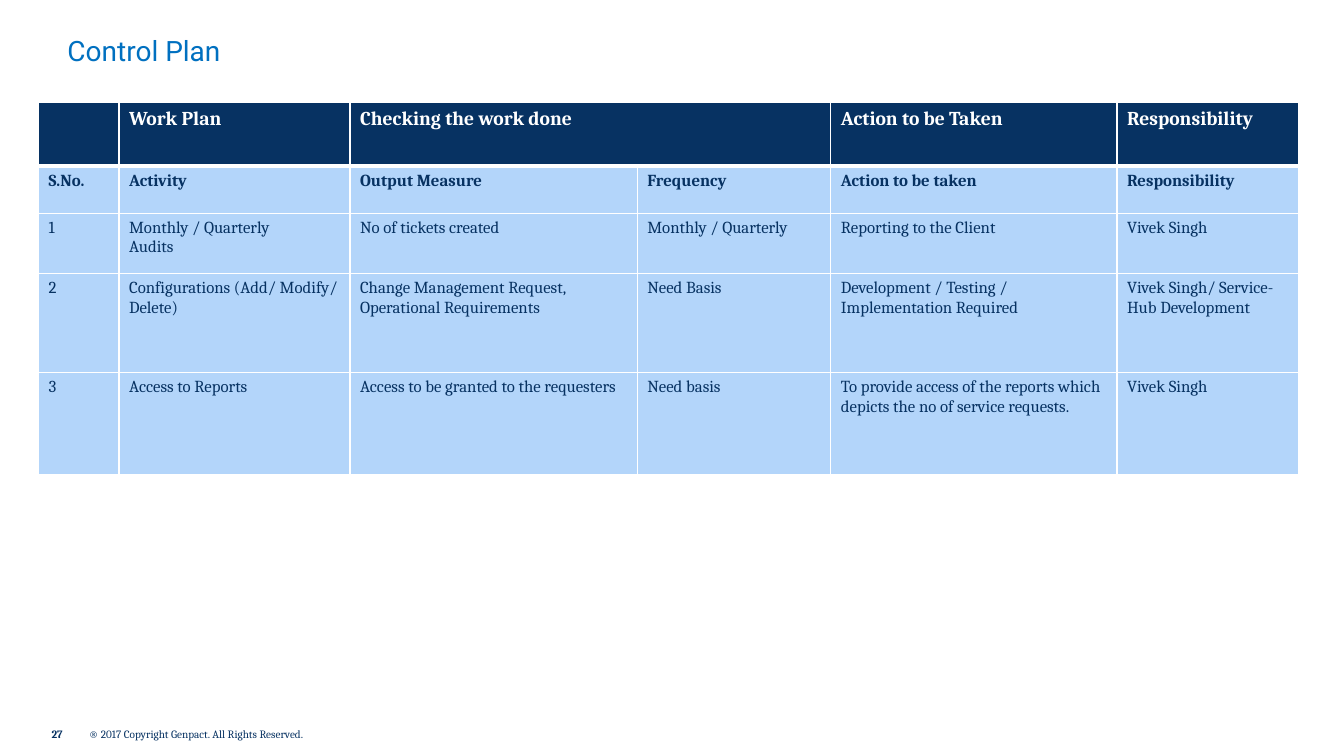
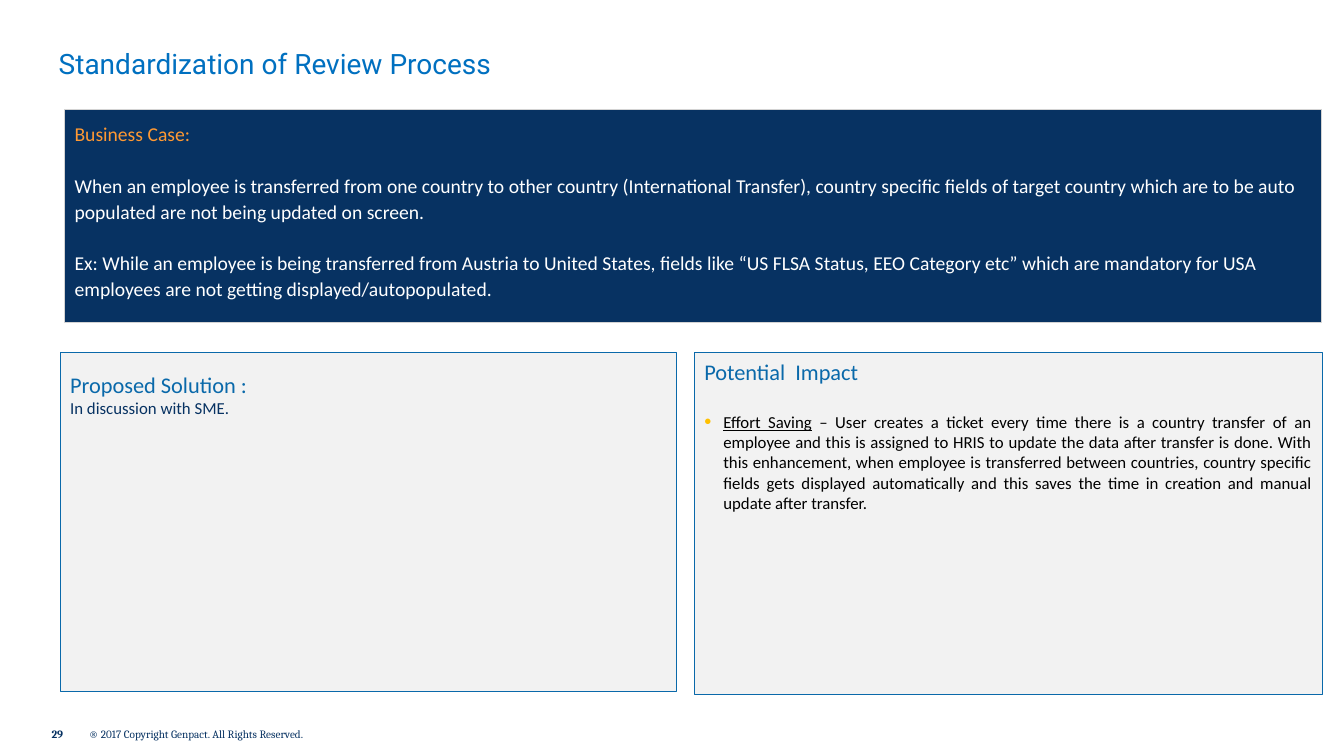
import pptx
import pptx.util
import pptx.dml.color
import pptx.enum.shapes
import pptx.enum.text
import pptx.oxml
import pptx.oxml.ns
from pptx.util import Cm, Pt

COLORS = {
    "navy": "073262",
    "title": "0070C0",
    "blue": "0A69AA",
    "sky": "B3D5FA",
    "panel": "F2F2F2",
    "silver": "D3D3D3",
    "orange": "FF9933",
    "bullet": "FFC000",
    "white": "FFFFFF",
    "black": "000000",
}
rgb = {name: pptx.dml.color.RGBColor.from_string(code) for name, code in COLORS.items()}
TOP = pptx.enum.text.MSO_ANCHOR.TOP
MIDDLE = pptx.enum.text.MSO_ANCHOR.MIDDLE
LEFT = pptx.enum.text.PP_ALIGN.LEFT
JUSTIFY = pptx.enum.text.PP_ALIGN.JUSTIFY


def add_run(paragraph, text, font, size, color, bold=False, underline=False):
    run = paragraph.add_run()
    run.text = text
    run.font.name = font
    run.font.size = Pt(size)
    run.font.color.rgb = rgb[color]
    run.font.bold = bold
    run.font.underline = underline


def add_panel(slide, left, top, width, height, fill, line):
    shape = slide.shapes.add_shape(
        pptx.enum.shapes.MSO_SHAPE.RECTANGLE, Cm(left), Cm(top), Cm(width), Cm(height))
    shape.shadow.inherit = False
    shape.fill.solid()
    shape.fill.fore_color.rgb = rgb[fill]
    shape.line.color.rgb = rgb[line]
    shape.line.width = Pt(0.75)
    shape.text_frame.word_wrap = True
    shape.text_frame.vertical_anchor = TOP
    shape.text_frame.paragraphs[0].alignment = LEFT
    return shape.text_frame


presentation = pptx.Presentation()
presentation.slide_width = Cm(33.87)
presentation.slide_height = Cm(19.05)

# Slides with title and footer: title, left, top, width, page number
pages = [
    ("Control Plan", 1.7, 0.84, 25.12, "27"),
    ("Standardization of Review Process", 1.48, 1.17, 30.68, "29"),
]
# Footer parts: left, width, bold
footer_parts = [(1.3, 0.9, True), (2.24, 6.55, False)]
slides = []
for title_text, left, top, width, number in pages:
    slide = presentation.slides.add_slide(presentation.slide_layouts[5])
    slides.append(slide)

    title = slide.shapes.title
    title.left, title.top, title.width, title.height = Cm(left), Cm(top), Cm(width), Cm(0.94)
    frame = title.text_frame
    frame.margin_left = frame.margin_top = 0
    frame.vertical_anchor = TOP
    frame.auto_size = pptx.enum.text.MSO_AUTO_SIZE.NONE
    frame.paragraphs[0].alignment = LEFT
    add_run(frame.paragraphs[0], title_text, "Roboto", 20, "title")

    footer_texts = [number, "® 2017 Copyright Genpact. All Rights Reserved."]
    for text, (left, width, bold) in zip(footer_texts, footer_parts):
        frame = slide.shapes.add_textbox(Cm(left), Cm(18.19), Cm(width), Cm(0.61)).text_frame
        frame.margin_left = frame.margin_right = frame.margin_top = frame.margin_bottom = 0
        frame.word_wrap = True
        frame.vertical_anchor = MIDDLE
        add_run(frame.paragraphs[0], text, "Cambria", 8, "navy", bold)

control_slide, review_slide = slides

# Control plan table
rows = [
    ["", "Work Plan", "Checking the work done", "", "Action to be Taken", "Responsibility"],
    ["S.No.", "Activity", "Output Measure", "Frequency", "Action to be taken",
     "Responsibility"],
    ["1", "Monthly / Quarterly\nAudits", "No of tickets created", "Monthly / Quarterly",
     "Reporting to the Client", "Vivek Singh"],
    ["2", "Configurations (Add/ Modify/ Delete)",
     "Change Management Request, Operational Requirements", "Need Basis",
     "Development / Testing / Implementation Required", "Vivek Singh/ Service-Hub Development"],
    ["3", "Access to Reports", "Access to be granted to the requesters", "Need basis",
     "To provide access of the reports which depicts the no of service requests.",
     "Vivek Singh"],
]
column_widths = [2.03, 5.82, 7.24, 4.88, 7.21, 4.57]
row_heights = [1.6, 1.19, 1.52, 2.49, 2.57]
table = control_slide.shapes.add_table(
    len(rows), len(column_widths), Cm(0.97), Cm(2.59),
    Cm(sum(column_widths)), Cm(sum(row_heights))).table
table.horz_banding = False
for column, width in zip(table.columns, column_widths):
    column.width = Cm(width)
for row, height in zip(table.rows, row_heights):
    row.height = Cm(height)
table.cell(0, 2).merge(table.cell(0, 3))

for row_index, texts in enumerate(rows):
    is_header = row_index == 0
    for column_index, text in enumerate(texts):
        cell = table.cell(row_index, column_index)
        cell.fill.solid()
        cell.fill.fore_color.rgb = rgb["navy" if is_header else "sky"]
        # White borders, heavier below the header
        heavy_side = {0: "lnB", 1: "lnT"}.get(row_index)
        properties = cell._tc.get_or_add_tcPr()
        for position, side in enumerate(["lnL", "lnR", "lnT", "lnB"]):
            border_width = Pt(3 if side == heavy_side else 1)
            properties.insert(position, pptx.oxml.parse_xml(
                f'<a:{side} {pptx.oxml.ns.nsdecls("a")} w="{border_width}"><a:solidFill>'
                f'<a:srgbClr val="{COLORS["white"]}"/></a:solidFill></a:{side}>'))
        if not text:
            continue
        for line_index, line in enumerate(text.split("\n")):
            frame = cell.text_frame
            paragraph = frame.add_paragraph() if line_index else frame.paragraphs[0]
            add_run(paragraph, line, "Cambria", 14 if is_header else 12,
                    "white" if is_header else "navy", bold=row_index < 2)

# Business case
business_texts = [
    ("Business Case:", "orange"),
    ("When an employee is transferred from one country to other country (International "
     "Transfer), country specific fields of target country which are to be auto populated "
     "are not being updated on screen.", "white"),
    ("Ex: While an employee is being transferred from Austria to United States, fields like "
     "“US FLSA Status, EEO Category etc” which are mandatory for USA employees are not "
     "getting displayed/autopopulated.", "white"),
]
frame = add_panel(review_slide, 1.63, 2.76, 31.67, 5.36, "navy", "silver")
frame.margin_top = Cm(0.25)
for index, (text, color) in enumerate(business_texts):
    paragraph = frame.add_paragraph() if index else frame.paragraphs[0]
    paragraph.alignment = LEFT
    paragraph.line_spacing = 1.1
    if index:
        paragraph.space_before = Pt(18.5)
    add_run(paragraph, text, "Calibri", 14, color)

# Proposed solution
frame = add_panel(review_slide, 1.52, 8.89, 15.52, 8.53, "panel", "blue")
frame.paragraphs[0].line_spacing = 1.5
add_run(frame.paragraphs[0], "Proposed Solution :", "Calibri", 16, "blue")
paragraph = frame.add_paragraph()
paragraph.alignment = LEFT
add_run(paragraph, "In discussion with SME.", "Calibri", 12, "navy")

# Potential impact
frame = add_panel(review_slide, 17.5, 8.89, 15.82, 8.61, "panel", "blue")
add_run(frame.paragraphs[0], "Potential  Impact", "Calibri", 16, "blue")
paragraph = frame.add_paragraph()
properties = paragraph._p.get_or_add_pPr()
properties.set("marL", str(Cm(0.48)))
properties.set("indent", str(-Cm(0.48)))
for bullet_part in [
    f'<a:buClr {{}}><a:srgbClr val="{COLORS["bullet"]}"/></a:buClr>',
    '<a:buSzPct {} val="120000"/>',
    '<a:buFont {} typeface="Arial"/>',
    '<a:buChar {} char="•"/>',
]:
    properties.append(pptx.oxml.parse_xml(bullet_part.format(pptx.oxml.ns.nsdecls("a"))))
paragraph.alignment = JUSTIFY
paragraph.space_before = Pt(19.5)
add_run(paragraph, "Effort Saving", "Calibri", 12, "black", underline=True)
add_run(paragraph,
        " – User creates a ticket every time there is a country transfer of an employee and "
        "this is assigned to HRIS to update the data after transfer is done. With this "
        "enhancement, when employee is transferred between countries, country specific "
        "fields gets displayed automatically and this saves the time in creation and manual "
        "update after transfer.", "Calibri", 12, "black")

presentation.save("out.pptx")
